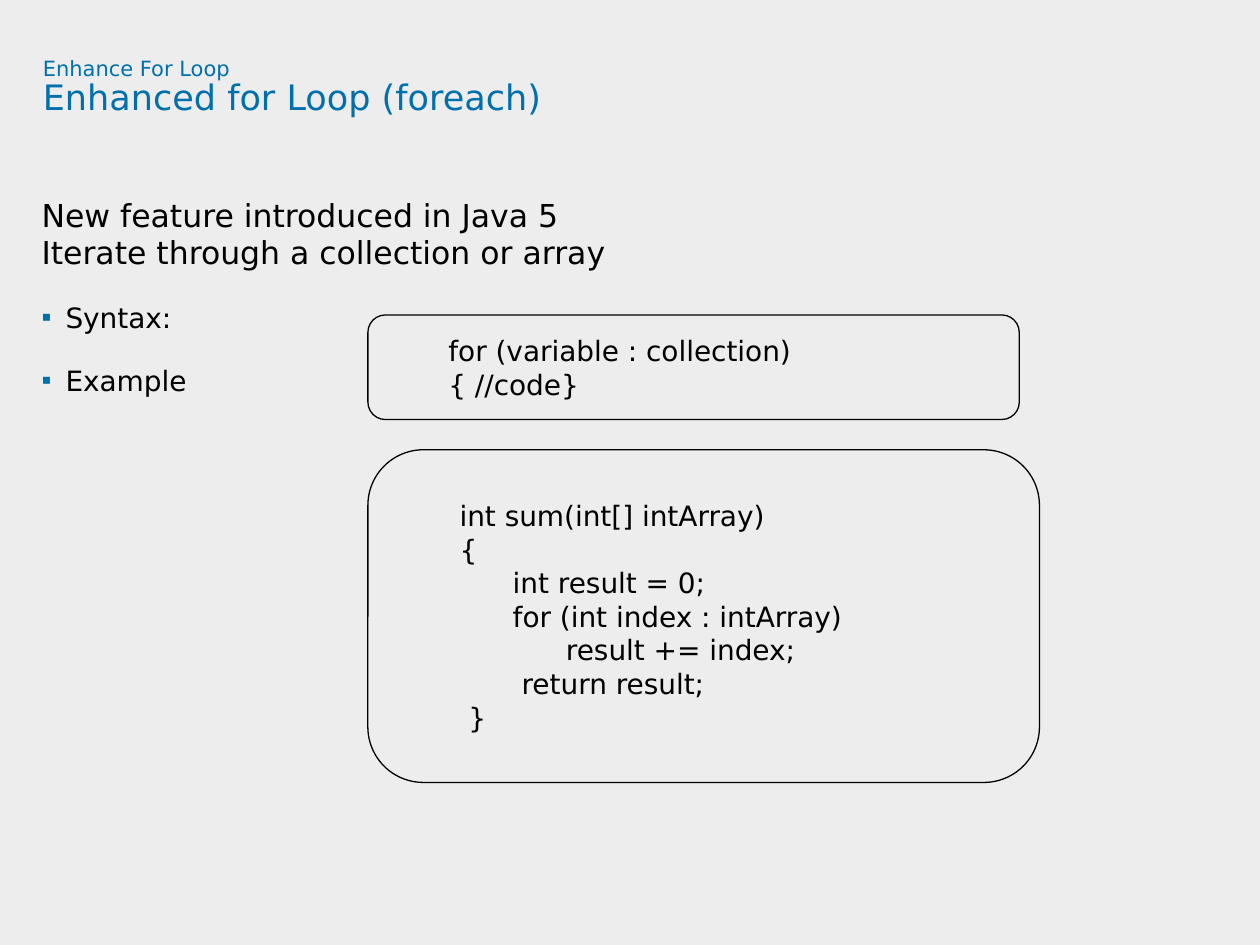
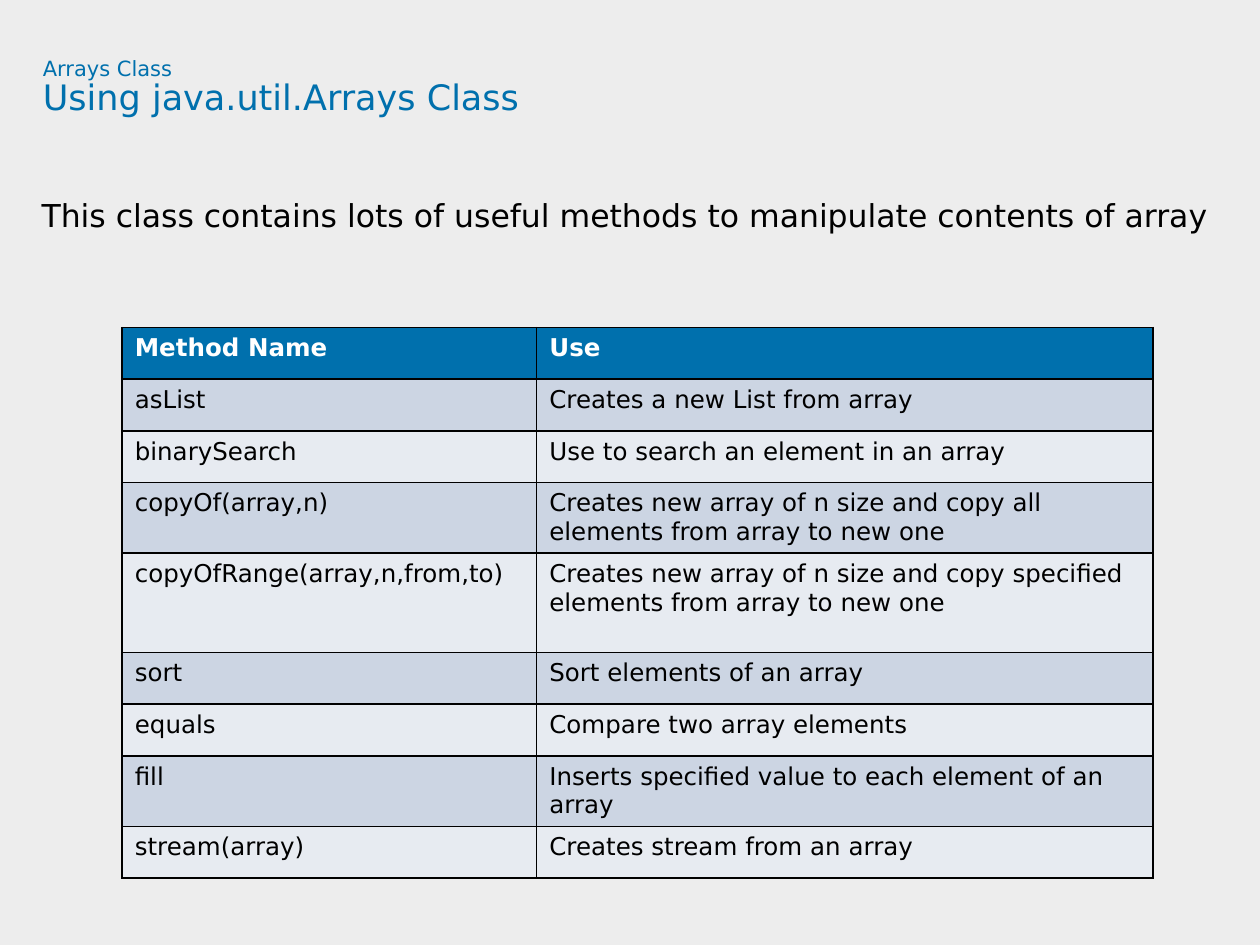
from lxml import etree
from pptx import Presentation
from pptx.dml.color import RGBColor
from pptx.enum.shapes import MSO_SHAPE
from pptx.enum.text import MSO_ANCHOR, MSO_AUTO_SIZE, PP_ALIGN
from pptx.oxml.ns import qn
from pptx.util import Inches, Pt

ROUND = MSO_SHAPE.ROUNDED_RECTANGLE
TOP, MIDDLE = MSO_ANCHOR.TOP, MSO_ANCHOR.MIDDLE
LEFT = PP_ALIGN.LEFT
FIXED = MSO_AUTO_SIZE.NONE
FONT = "DejaVu Sans"
COLORS = {
    "page": "EDEDED", "blue": "0070AD", "black": "000000", "white": "FFFFFF",
    "dark": "CCD5E3", "light": "E7EBF1",
}


def color(name):
    return RGBColor.from_string(COLORS[name])


def style(font, size, name="black", bold=False):
    font.name = FONT
    font.size = Pt(size)
    font.bold = bold
    font.color.rgb = color(name)


TOPICS = [
    ("Enhance For Loop", "Enhanced for Loop (foreach)",
     ["New feature introduced in Java 5", "Iterate through a collection or array"],
     ["Syntax:", "Example"]),
    ("Arrays Class", "Using java.util.Arrays Class",
     ["This class contains lots of useful methods to manipulate contents of array"],
     []),
]

deck = Presentation()
deck.slide_width, deck.slide_height = Inches(10), Inches(7.5)
back = deck.slide_master.background.fill
back.solid()
back.fore_color.rgb = color("page")

slides = []
for topic, head, lines, points in TOPICS:
    slide = deck.slides.add_slide(deck.slide_layouts[1])
    slides.append(slide)
    title, body = slide.placeholders
    for box, place in ((title, (0.34, 0.46, 9.09, 0.94)),
                       (body, (0.33, 1.63, 9.67, 5.08))):
        box.left, box.top, box.width, box.height = map(Inches, place)
        frame = box.text_frame
        frame.margin_left = frame.margin_right = 0
        frame.margin_top = frame.margin_bottom = 0
        frame.vertical_anchor = TOP
        frame.auto_size = FIXED
        frame.word_wrap = True

    para = title.text_frame.paragraphs[0]
    para.alignment = LEFT
    para.line_spacing = 0.9
    run = para.add_run()
    run.text = topic
    style(run.font, 12, "blue")
    para.add_line_break()
    run = para.add_run()
    run.text = head
    style(run.font, 20, "blue")

    body.text_frame.text = "\n".join(lines + points)
    for i, para in enumerate(body.text_frame.paragraphs):
        point = i >= len(lines)
        props = para._p.get_or_add_pPr()
        if point:
            para.level = 1
            props.set("marL", str(Inches(0.19)))
            props.set("indent", str(-Inches(0.19)))
            tint = etree.SubElement(props, qn("a:buClr"))
            etree.SubElement(tint, qn("a:srgbClr"), val=COLORS["blue"])
            etree.SubElement(props, qn("a:buChar"), char="▪")
        else:
            props.set("marL", "0")
            props.set("indent", "0")
            etree.SubElement(props, qn("a:buNone"))
        para.alignment = LEFT
        para.line_spacing = Pt(13.5 if point else 16.5)
        para.space_before = Pt(18 if point else 0)
        para.space_after = Pt(4.5)
        style(para.font, 16 if point else 18)

loop, arrays = slides

SYNTAX = """for (variable : collection)
{ //code}"""
SAMPLE = """int sum(int[] intArray)
{
      int result = 0;
      for (int index : intArray)
            result += index;
       return result;
 }"""
for code, top, width, height in ((SAMPLE, 3.57, 5.33, 2.64),
                                 (SYNTAX, 2.5, 5.17, 0.83)):
    panel = loop.shapes.add_shape(
        ROUND, Inches(2.92), Inches(top), Inches(width), Inches(height))
    panel.shadow.inherit = False
    panel.adjustments[0] = 0.167
    panel.fill.background()
    panel.line.color.rgb = color("black")
    panel.line.width = Pt(0.75)
    frame = panel.text_frame
    frame.word_wrap = True
    frame.vertical_anchor = MIDDLE
    frame.text = code
    for para in frame.paragraphs:
        para.level = 1
        para.alignment = LEFT
        props = para._p.get_or_add_pPr()
        props.set("marL", str(Inches(0.5)))
        props.set("indent", "0")
        style(para.font, 16)

METHODS = [
    ("Method Name", "Use", 0.41),
    ("asList", "Creates a new List from array", 0.41),
    ("binarySearch", "Use to search an element in an array", 0.41),
    ("copyOf(array,n)",
     "Creates new array of n size and copy all elements from array to new one", 0.56),
    ("copyOfRange(array,n,from,to)",
     "Creates new array of n size and copy specified elements from array to new one",
     0.79),
    ("sort", "Sort elements of an array", 0.41),
    ("equals", "Compare two array elements", 0.41),
    ("fill", "Inserts specified value to each element of an array", 0.56),
    ("stream(array)", "Creates stream from an array", 0.41),
]
grid = arrays.shapes.add_table(
    len(METHODS), 2, Inches(0.97), Inches(2.6), Inches(8.18), Inches(4.37)).table
for col, width in zip(grid.columns, (3.29, 4.89)):
    col.width = Inches(width)
for r, (method, use, height) in enumerate(METHODS):
    grid.rows[r].height = Inches(height)
    shade = "blue" if r == 0 else "dark" if r % 2 else "light"
    for c, text in enumerate((method, use)):
        cell = grid.cell(r, c)
        props = cell._tc.get_or_add_tcPr()
        for side in ("lnL", "lnR", "lnT", "lnB"):
            edge = etree.SubElement(props, qn("a:" + side), w=str(Pt(1)))
            ink = etree.SubElement(edge, qn("a:solidFill"))
            etree.SubElement(ink, qn("a:srgbClr"), val=COLORS["black"])
        cell.fill.solid()
        cell.fill.fore_color.rgb = color(shade)
        cell.text = text
        style(cell.text_frame.paragraphs[0].font, 14,
              "black" if r else "white", r == 0)

deck.save("out.pptx")
